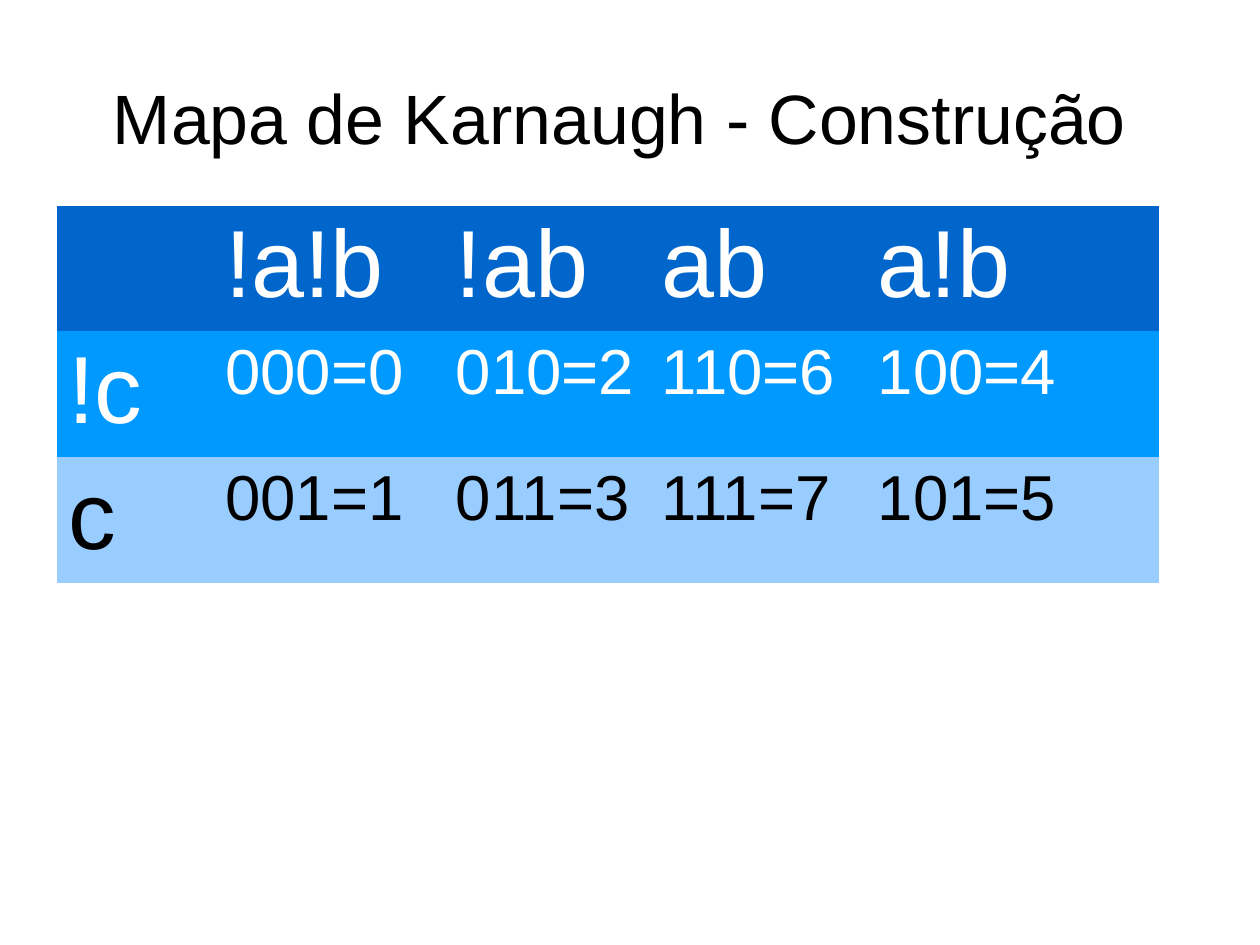
from dataclasses import dataclass
from pptx import Presentation
from pptx.dml.color import RGBColor
from pptx.enum.text import MSO_ANCHOR, PP_ALIGN
from pptx.oxml.ns import qn
from pptx.util import Cm, Inches, Pt

TITLE = "Mapa de Karnaugh - Construção "
ROWS = [
    ["", "!a!b", "!ab", "ab", "a!b"],
    ["!c", "000=0", "010=2", "110=6", "100=4"],
    ["c", "001=1", "011=3", "111=7", "101=5"],
]
COL_WIDTHS = [1.37, 2.02, 1.8, 1.89, 2.56]
ROW_HEIGHT = 1.1
PLAIN_STYLE = "{2D5ABB26-0587-4C30-8999-92F81FD0307C}"


@dataclass(frozen=True)
class Theme:
    font: str = "Arial"
    title_size: int = 44
    label_size: int = 60
    value_size: int = 40
    black: str = "000000"
    white: str = "FFFFFF"
    fills: tuple = ("0066CC", "0099FF", "99CCFF")


THEME = Theme()


def set_font(p, size, color):
    p.font.name = THEME.font
    p.font.size = Pt(size)
    p.font.bold = False
    p.font.color.rgb = RGBColor.from_string(color)


def add_title(s):
    title = s.shapes.title
    title.left, title.top = Inches(0.55), Inches(0.33)
    title.width, title.height = Inches(9.92), Inches(1.38)
    tf = title.text_frame
    tf.margin_left = tf.margin_right = tf.margin_top = tf.margin_bottom = 0
    tf.vertical_anchor = MSO_ANCHOR.MIDDLE
    tf.text = TITLE
    p = tf.paragraphs[0]
    p.alignment = PP_ALIGN.CENTER
    set_font(p, THEME.title_size, THEME.black)


def add_map(s):
    frame = s.shapes.add_table(
        len(ROWS), len(COL_WIDTHS), Inches(0.5), Inches(1.8),
        Inches(sum(COL_WIDTHS)), Inches(ROW_HEIGHT * len(ROWS)))
    table = frame.table
    table.first_row = table.horz_banding = False
    for style in frame.element.iter(qn("a:tableStyleId")):
        style.text = PLAIN_STYLE
    for col, width in zip(table.columns, COL_WIDTHS):
        col.width = Inches(width)
    text_colors = (THEME.white, THEME.white, THEME.black)
    for i, row in enumerate(ROWS):
        table.rows[i].height = Inches(ROW_HEIGHT)
        for j, text in enumerate(row):
            cell = table.cell(i, j)
            cell.fill.solid()
            cell.fill.fore_color.rgb = RGBColor.from_string(THEME.fills[i])
            cell.text = text
            is_label = i == 0 or j == 0
            size = THEME.label_size if is_label else THEME.value_size
            set_font(cell.text_frame.paragraphs[0], size, text_colors[i])


def main():
    prs = Presentation()
    prs.slide_width, prs.slide_height = Cm(28), Cm(21)
    s = prs.slides.add_slide(prs.slide_layouts[5])
    add_title(s)
    add_map(s)
    prs.save("out.pptx")


if __name__ == "__main__":
    main()
